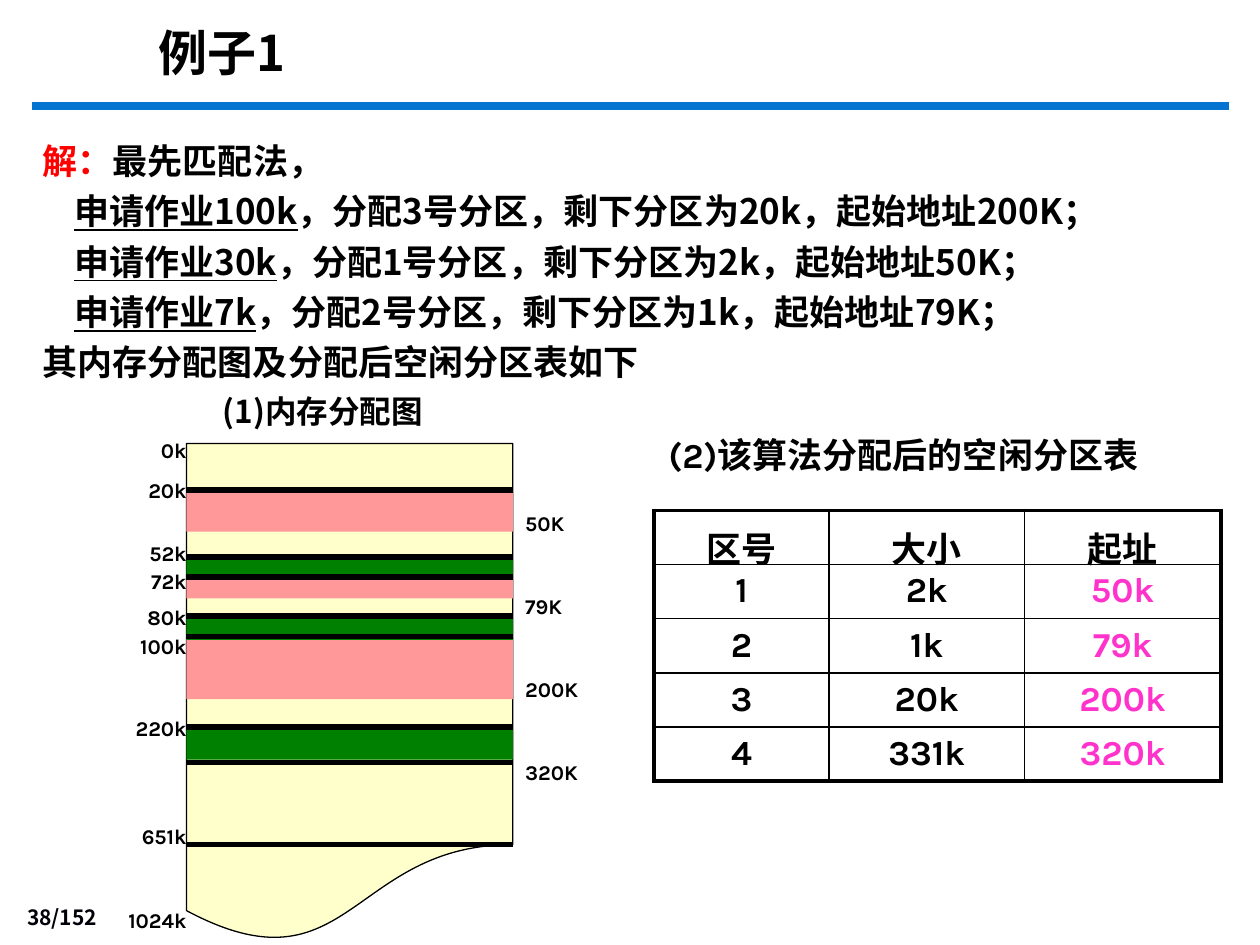
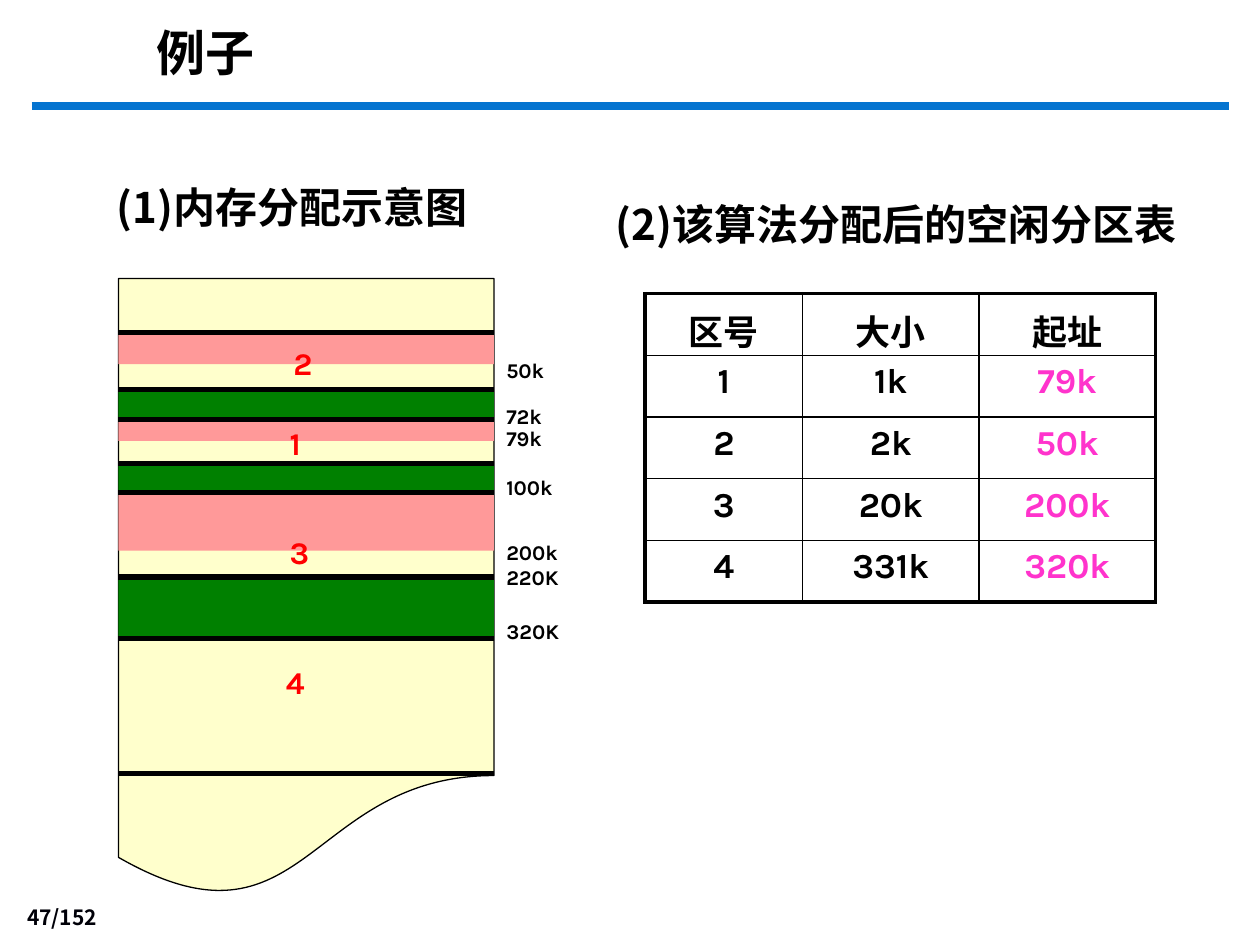
"""Build two slides on first-fit and best-fit memory partition allocation."""
import lxml.etree
import pptx
import pptx.dml.color
import pptx.enum.shapes
import pptx.enum.text
import pptx.oxml.ns
import pptx.util

Inches = pptx.util.Inches
Pt = pptx.util.Pt
ALIGN = pptx.enum.text.PP_ALIGN
ANCHOR = pptx.enum.text.MSO_ANCHOR
SHAPE = pptx.enum.shapes.MSO_SHAPE
qn = pptx.oxml.ns.qn

COLORS = {"black": "000000", "number": "000008", "rule": "0574D0", "red": "FF0000",
          "address": "FF33CC", "memory": "FFFFCC", "allocated": "FF9999", "used": "008000"}
HAN = "Noto Sans CJK SC"
LATIN = "Karla"
TITLE = {"size": 28, "name": HAN}
BODY = {"size": 20, "name": HAN}
LABEL = {"size": 12, "name": LATIN}
ZONE = {"size": 18, "name": LATIN, "color": "red"}
CELL = {"size": 20, "name": LATIN}
NUMBER = {"size": 12, "name": "Noto Sans CJK JP", "color": "number"}


def write(frame, paragraphs, style, align=ALIGN.LEFT, anchor=ANCHOR.TOP, spacing=None):
    frame.word_wrap = True
    frame.vertical_anchor = anchor
    for index, spans in enumerate(paragraphs):
        para = frame.paragraphs[0] if index == 0 else frame.add_paragraph()
        for name, value in {"alignment": align, "line_spacing": spacing}.items():
            setattr(para, name, value)
        for text, changes in spans:
            look = {"bold": True, "color": "black", **style, **changes}
            color = look.pop("color")
            look["size"] = Pt(look["size"])
            span = para.add_run()
            span.text = text
            span.font.color.rgb = pptx.dml.color.RGBColor.from_string(COLORS[color])
            for name, value in look.items():
                setattr(span.font, name, value)
            east_asian = HAN if look["name"] == LATIN else look["name"]
            lxml.etree.SubElement(span.font._element, qn("a:ea"), typeface=east_asian)


def add_line(page, left, right, top, color, width):
    line = page.shapes.add_connector(pptx.enum.shapes.MSO_CONNECTOR.STRAIGHT,
                                     Inches(left), Inches(top), Inches(right), Inches(top))
    line.line.color.rgb = pptx.dml.color.RGBColor.from_string(COLORS[color])
    line.line.width = Pt(width)
    lxml.etree.SubElement(line._element.spPr, qn("a:effectLst"))


jobs = [("100k", "3", "20k", "200K"), ("30k", "1", "2k", "50K"), ("7k", "2", "1k", "79K")]
solution = [[("解：", {"color": "red"}), ("最先匹配法，", {})]]
for size, zone, rest, start in jobs:
    solution.append([(f"申请作业{size}", {"underline": True}),
                     (f"，分配{zone}号分区，剩下分区为{rest}，起始地址{start}；", {})])
solution.append([("其内存分配图及分配后空闲分区表如下", {})])

slides = [
    {
        "title": [("例子1", {})], "title_at": (1.16, 0.13, 6.02, 0.57), "number": "38/152",
        "solution": solution,
        "headings": [
            ((1.67, 3.06, 2.22, 0.4), [("(1)内存分配图", {"size": 18})], ALIGN.LEFT),
            ((4.67, 3.39, 5, 0.43), [("(2)", {"name": LATIN}), ("该算法分配后的空闲分区表", {})],
             ALIGN.CENTER)],
        "memory": (1.48, 3.52, 2.59, 3.97),
        "blocks": {"allocated": [(3.89, 0.33), (4.58, 0.17), (5.05, 0.5)],
                   "used": [(4.42, 0.17), (4.91, 0.17), (5.77, 0.26)]},
        "edges": [3.89, 4.42, 4.58, 4.89, 5.05, 5.77, 6.05, 6.7],
        "left_labels": {"0k": 3.57, "20k": 3.89, "52k": 4.39, "72k": 4.61, "80k": 4.9,
                        "100k": 5.13, "220k": 5.78, "651k": 6.64, "1024k": 7.3},
        "right_labels": {"50K": 4.15, "79K": 4.81, "200K": 5.47, "320K": 6.13},
        "zones": {},
        "table_at": (5.19, 4.05), "columns": [1.39, 1.55, 1.56], "row_height": 0.43,
        "rows": [("1", "2k", "50k"), ("2", "1k", "79k")],
    },
    {
        "title": [("例子", {"name": "Arial"})], "title_at": (1.14, 0.13, 5.67, 0.57),
        "number": "47/152",
        "solution": [],
        "headings": [
            ((0.83, 1.39, 3.07, 0.5), [("(1)内存分配示意图", {"size": 24})], ALIGN.LEFT),
            ((4.61, 1.53, 5, 0.5), [("(2)该算法分配后的空闲分区表", {"size": 24})], ALIGN.CENTER)],
        "memory": (0.94, 2.21, 2.98, 4.92),
        "blocks": {"allocated": [(2.66, 0.23), (3.34, 0.16), (3.93, 0.44)],
                   "used": [(3.11, 0.21), (3.7, 0.19), (4.59, 0.46)]},
        "edges": [2.64, 3.09, 3.33, 3.68, 3.91, 4.58, 5.07, 6.14],
        "left_labels": {},
        "right_labels": {"50k": 2.94, "72k": 3.3, "79k": 3.48, "100k": 3.87,
                         "200k": 4.38, "220K": 4.58, "320K": 5.01},
        "zones": {"2": (2.23, 2.68), "1": (2.2, 3.32), "3": (2.2, 4.18), "4": (2.17, 5.21)},
        "table_at": (5.12, 2.33), "columns": [1.25, 1.4, 1.4], "row_height": 0.49,
        "rows": [("1", "1k", "79k"), ("2", "2k", "50k")],
    },
]
header = ("区号", "大小", "起址")
shared_rows = [("3", "20k", "200k"), ("4", "331k", "320k")]

deck = pptx.Presentation()
deck.slide_width = Inches(10)
deck.slide_height = Inches(7.5)

for content in slides:
    page = deck.slides.add_slide(deck.slide_layouts[5])
    title = page.shapes.title
    for name, value in zip(("left", "top", "width", "height"), content["title_at"]):
        setattr(title, name, Inches(value))
    write(title.text_frame, [content["title"]], TITLE)
    add_line(page, 0.25, 9.75, 0.84, "rule", 4.5)

    left, top, width, height = content["memory"]
    right = left + width
    figures = [(SHAPE.FLOWCHART_DOCUMENT, top, height, "memory")]
    for color, blocks in content["blocks"].items():
        figures += [(SHAPE.RECTANGLE, *block, color) for block in blocks]
    for kind, figure_top, figure_height, color in figures:
        figure = page.shapes.add_shape(kind, Inches(left), Inches(figure_top),
                                       Inches(width), Inches(figure_height))
        figure.shadow.inherit = False
        figure.fill.solid()
        figure.fill.fore_color.rgb = pptx.dml.color.RGBColor.from_string(COLORS[color])
        if color == "memory":
            figure.line.color.rgb = pptx.dml.color.RGBColor.from_string(COLORS["black"])
            figure.line.width = Pt(0.75)
        else:
            figure.line.fill.background()
    for edge in content["edges"]:
        add_line(page, left, right, edge, "black", 3)

    texts = [((0, 7.14, 0.87, 0.29), [[(content["number"], {})]], NUMBER,
              ALIGN.RIGHT, ANCHOR.BOTTOM)]
    if content["solution"]:
        texts.append(((0.24, 0.99, 9.45, 2.12), content["solution"], BODY,
                      ALIGN.LEFT, ANCHOR.TOP, 1.2))
    for at, spans, align in content["headings"]:
        texts.append((at, [spans], BODY, align))
    for side, label_left, align in (("left_labels", left - 0.73, ALIGN.RIGHT),
                                    ("right_labels", right, ALIGN.LEFT)):
        for label, middle in content[side].items():
            texts.append(((label_left, middle - 0.15, 0.83, 0.3), [[(label, {})]], LABEL,
                          align, ANCHOR.MIDDLE))
    for zone, at in content["zones"].items():
        texts.append(((*at, 0.36, 0.4), [[(zone, {})]], ZONE))
    for at, *arguments in texts:
        box = page.shapes.add_textbox(*map(Inches, at))
        write(box.text_frame, *arguments)
        if arguments[0] is solution:
            for para in box.text_frame.paragraphs[1:-1]:
                para._p.get_or_add_pPr().set("marL", str(Inches(0.25)))

    rows = [header] + content["rows"] + shared_rows
    columns = content["columns"]
    frame = page.shapes.add_table(len(rows), len(columns), *map(Inches, content["table_at"]),
                                  Inches(sum(columns)), Inches(content["row_height"] * len(rows)))
    table = frame.table
    for column, column_width in zip(table.columns, columns):
        column.width = Inches(column_width)
    for row_index, values in enumerate(rows):
        table.rows[row_index].height = Inches(content["row_height"])
        for column_index, value in enumerate(values):
            cell = table.cell(row_index, column_index)
            is_address = row_index > 0 and column_index == 2
            write(cell.text_frame, [[(value, {"color": "address" if is_address else "black"})]],
                  CELL, ALIGN.CENTER)
            cell.margin_top = Inches(0.05 if row_index else 0.09)
            cell.margin_bottom = 0
            cell.fill.background()
            outer = {"a:lnL": column_index == 0, "a:lnR": column_index == len(columns) - 1,
                     "a:lnT": row_index == 0, "a:lnB": row_index == len(rows) - 1}
            properties = cell._tc.get_or_add_tcPr()
            for position, (tag, is_outer) in enumerate(outer.items()):
                border = lxml.etree.Element(qn(tag), w=str(Pt(2.25 if is_outer else 1)))
                fill = lxml.etree.SubElement(border, qn("a:solidFill"))
                lxml.etree.SubElement(fill, qn("a:srgbClr"), val=COLORS["black"])
                properties.insert(position, border)

deck.save("out.pptx")
